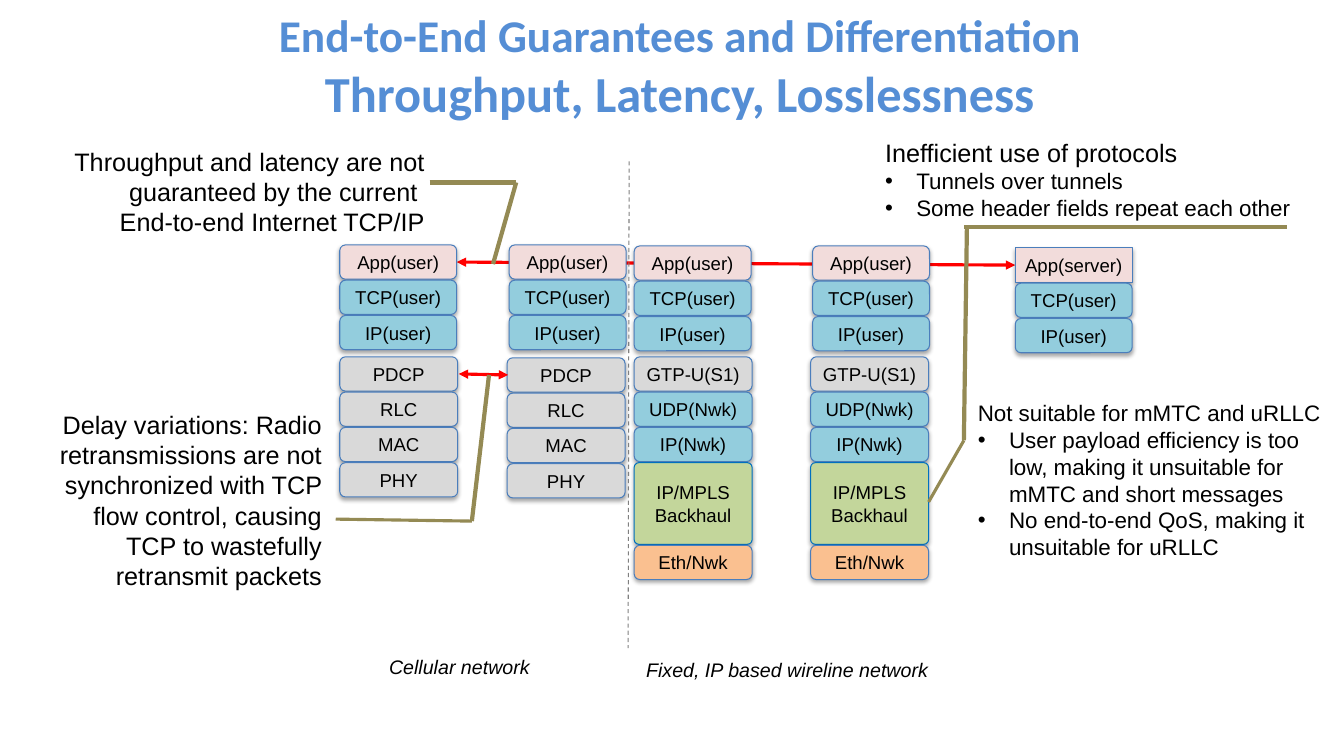
from dataclasses import dataclass

import lxml.etree
import pptx
import pptx.dml.color
import pptx.enum.dml
import pptx.enum.shapes
import pptx.enum.text
import pptx.oxml.ns
import pptx.util

RGBColor = pptx.dml.color.RGBColor
PP_ALIGN = pptx.enum.text.PP_ALIGN
qn = pptx.oxml.ns.qn

EMU_PER_PX = 9144  # 100 px to the inch
LAYER_GAP = 1
BULLET_INDENT = 31

TITLE_BLUE = RGBColor(0x55, 0x8E, 0xD5)
OUTLINE_BLUE = RGBColor(0x4B, 0x7E, 0xBC)
BACKHAUL_BLUE = RGBColor(0x00, 0x70, 0xC0)
PINK = RGBColor(0xF2, 0xDC, 0xDB)
TEAL = RGBColor(0x93, 0xCD, 0xDD)
GRAY = RGBColor(0xD9, 0xD9, 0xD9)
GREEN = RGBColor(0xC3, 0xD6, 0x9B)
ORANGE = RGBColor(0xFA, 0xC0, 0x90)
RED = RGBColor(0xFF, 0x00, 0x00)
OLIVE = RGBColor(0x94, 0x8A, 0x54)
DIVIDER_GRAY = RGBColor(0x80, 0x80, 0x80)
BLACK = RGBColor(0x00, 0x00, 0x00)


@dataclass(frozen=True)
class Layer:
    label: str
    fill: RGBColor
    height: int = 34
    corner: float = 0.1667
    outline: RGBColor = OUTLINE_BLUE


@dataclass(frozen=True)
class Stack:
    left: int
    top: int
    width: int
    layers: tuple[Layer, ...]


@dataclass(frozen=True)
class Stroke:
    start: tuple[int, int]
    end: tuple[int, int]
    color: RGBColor
    points: float
    arrows: bool = False
    dashed: bool = False


@dataclass(frozen=True)
class Line:
    text: str
    size: int
    bullet: bool = False


@dataclass(frozen=True)
class Note:
    box: tuple[int, int, int, int]
    lines: tuple[Line, ...]
    align: PP_ALIGN = PP_ALIGN.LEFT
    italic: bool = False
    wrap: bool = True


TRANSPORT = (Layer("TCP(user)", TEAL), Layer("IP(user)", TEAL))
USER = (Layer("App(user)", PINK), *TRANSPORT)
SERVER = (Layer("App(server)", PINK, corner=0), *TRANSPORT)
RADIO = tuple(Layer(name, GRAY) for name in ("PDCP", "RLC", "MAC", "PHY"))
WIRELINE = (
    Layer("GTP-U(S1)", GRAY),
    Layer("UDP(Nwk)", TEAL),
    Layer("IP(Nwk)", TEAL),
    Layer("IP/MPLS\nBackhaul", GREEN, 81, 0.057, BACKHAUL_BLUE),
    Layer("Eth/Nwk", ORANGE),
)

STACKS = (
    Stack(337, 243, 116, USER),
    Stack(505, 243, 116, USER),
    Stack(629, 244, 116, USER),
    Stack(806, 244, 116, USER),
    Stack(1007, 246, 116, SERVER),
    Stack(337, 354, 117, RADIO),
    Stack(503, 355, 117, RADIO),
    Stack(629, 354, 117, WIRELINE),
    Stack(804, 354, 117, WIRELINE),
)

APP_FLOW = Stroke((453, 260), (1007, 263), RED, 2.25, arrows=True)
STROKES = (
    Stroke((455, 371), (504, 372), RED, 2.25, arrows=True),
    Stroke((624, 160), (623, 643), DIVIDER_GRAY, 0.75, dashed=True),
    Stroke((489, 262), (512, 181), OLIVE, 3),
    Stroke((426, 181), (512, 181), OLIVE, 3),
    Stroke((468, 517), (485, 372), OLIVE, 3),
    Stroke((468, 517), (333, 515), OLIVE, 2.25),
    Stroke((956, 437), (959, 226), OLIVE, 3),
    Stroke((956, 437), (921, 498), OLIVE, 2.25),
    Stroke((956, 225), (1276, 225), OLIVE, 3),
)

NOTES = (
    Note((46, 401, 283, 192), (
        Line("Delay variations: Radio retransmissions are not synchronized with TCP "
             "flow control, causing TCP to wastefully retransmit packets", 18),
    ), PP_ALIGN.RIGHT),
    Note((32, 140, 399, 101), (
        Line("Throughput and latency are not guaranteed by the current \n"
             "End-to-end Internet TCP/IP", 18),
    ), PP_ALIGN.RIGHT),
    Note((376, 645, 169, 34), (Line("Cellular network", 14),), italic=True),
    Note((631, 648, 302, 34), (Line("Fixed, IP based wireline network", 14),),
         italic=True, wrap=False),
    Note((960, 391, 374, 172), (
        Line("Not suitable for mMTC and uRLLC", 16),
        Line("User payload efficiency is too low, making it unsuitable for mMTC "
             "and short messages", 16, bullet=True),
        Line("No end-to-end QoS, making it unsuitable for uRLLC", 16, bullet=True),
    )),
    Note((868, 131, 475, 94), (
        Line("Inefficient use of protocols", 18),
        Line("Tunnels over tunnels", 16, bullet=True),
        Line("Some header fields repeat each other", 16, bullet=True),
    )),
)


def px(length: int) -> pptx.util.Emu:
    return pptx.util.Emu(length * EMU_PER_PX)


def add_text(paragraph, text: str, size: float, color: RGBColor = BLACK,
             font: str = "Arial", bold: bool = False, italic: bool = False) -> None:
    """Add one run per line of text, with line breaks between them."""
    for index, part in enumerate(text.split("\n")):
        if index:
            paragraph.add_line_break()
        run = paragraph.add_run()
        run.text = part
        run.font.name = font
        run.font.size = pptx.util.Pt(size)
        run.font.bold = bold
        run.font.italic = italic
        run.font.color.rgb = color


def add_title(slide) -> None:
    title = slide.shapes.title
    title.left, title.top, title.width, title.height = map(px, (32, 14, 1285, 101))
    frame = title.text_frame
    frame.auto_size = pptx.enum.text.MSO_AUTO_SIZE.NONE
    frame.vertical_anchor = pptx.enum.text.MSO_ANCHOR.MIDDLE
    heading = frame.paragraphs[0]
    heading.alignment = PP_ALIGN.CENTER
    add_text(heading, "End-to-End Guarantees and Differentiation", 32.4,
             TITLE_BLUE, "Calibri", bold=True)
    heading.add_line_break()
    add_text(heading, "Throughput, Latency, Losslessness", 36,
             TITLE_BLUE, "Calibri", bold=True)


def add_soft_shadow(box) -> None:
    box.shadow.inherit = False
    effects = box._element.spPr.find(qn("a:effectLst"))
    shadow = lxml.etree.SubElement(effects, qn("a:outerShdw"), blurRad="40000",
                                   dist="23000", dir="5400000", rotWithShape="0")
    black = lxml.etree.SubElement(shadow, qn("a:srgbClr"), val="000000")
    lxml.etree.SubElement(black, qn("a:alpha"), val="35000")


def add_stack(slide, stack: Stack) -> None:
    top = stack.top
    for layer in stack.layers:
        box = slide.shapes.add_shape(
            pptx.enum.shapes.MSO_SHAPE.ROUNDED_RECTANGLE,
            px(stack.left), px(top), px(stack.width), px(layer.height))
        box.adjustments[0] = layer.corner
        box.fill.solid()
        box.fill.fore_color.rgb = layer.fill
        box.line.color.rgb = layer.outline
        box.line.width = pptx.util.Pt(0.75)
        add_soft_shadow(box)
        frame = box.text_frame
        frame.margin_left = frame.margin_right = 0
        frame.vertical_anchor = pptx.enum.text.MSO_ANCHOR.MIDDLE
        for index, part in enumerate(layer.label.split("\n")):
            paragraph = frame.add_paragraph() if index else frame.paragraphs[0]
            paragraph.alignment = PP_ALIGN.CENTER
            add_text(paragraph, part, 13.3)
        top += layer.height + LAYER_GAP


def add_stroke(slide, stroke: Stroke) -> None:
    connector = slide.shapes.add_connector(
        pptx.enum.shapes.MSO_CONNECTOR.STRAIGHT,
        *map(px, (*stroke.start, *stroke.end)))
    connector.line.color.rgb = stroke.color
    connector.line.width = pptx.util.Pt(stroke.points)
    if stroke.dashed:
        connector.line.dash_style = pptx.enum.dml.MSO_LINE.DASH
    properties = connector._element.spPr
    if stroke.arrows:
        for end in ("a:headEnd", "a:tailEnd"):
            lxml.etree.SubElement(properties.find(qn("a:ln")), qn(end), type="triangle")
    lxml.etree.SubElement(properties, qn("a:effectLst"))


def add_note(slide, note: Note) -> None:
    frame = slide.shapes.add_textbox(*map(px, note.box)).text_frame
    frame.word_wrap = note.wrap
    frame.auto_size = pptx.enum.text.MSO_AUTO_SIZE.SHAPE_TO_FIT_TEXT
    for index, line in enumerate(note.lines):
        paragraph = frame.add_paragraph() if index else frame.paragraphs[0]
        paragraph.alignment = note.align
        if line.bullet:
            properties = paragraph._p.get_or_add_pPr()
            properties.set("marL", str(px(BULLET_INDENT)))
            properties.set("indent", str(px(-BULLET_INDENT)))
            lxml.etree.SubElement(properties, qn("a:buFont"), typeface="Arial")
            lxml.etree.SubElement(properties, qn("a:buChar"), char="•")
        add_text(paragraph, line.text, line.size, italic=note.italic)


def main() -> None:
    deck = pptx.Presentation()
    deck.slide_width, deck.slide_height = px(1333), px(750)
    slide = deck.slides.add_slide(deck.slide_layouts.get_by_name("Title Only"))
    add_title(slide)
    add_stroke(slide, APP_FLOW)
    for stack in STACKS:
        add_stack(slide, stack)
    for stroke in STROKES:
        add_stroke(slide, stroke)
    for note in NOTES:
        add_note(slide, note)
    deck.save("out.pptx")


if __name__ == "__main__":
    main()
